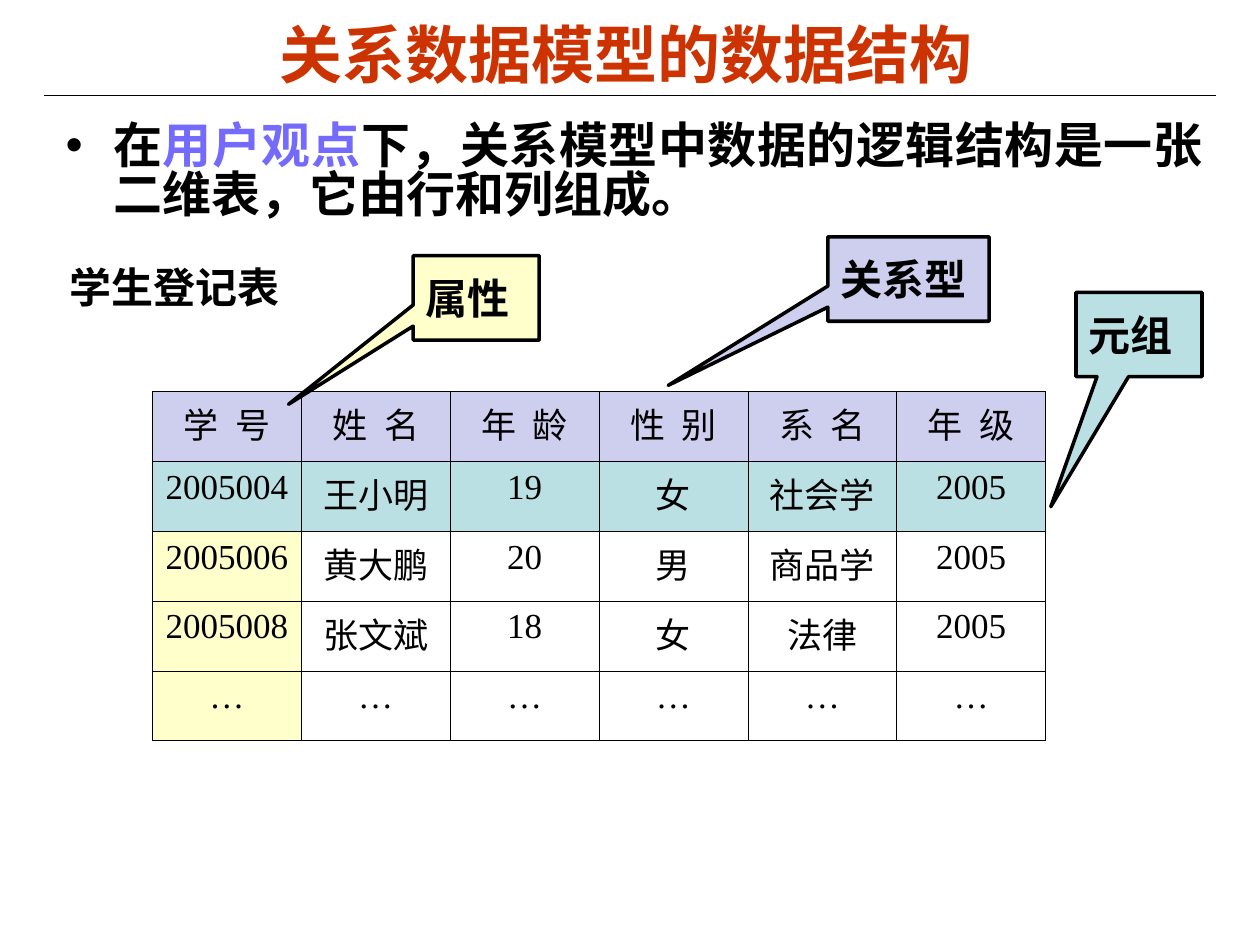
from pptx import Presentation
from pptx.dml.color import RGBColor
from pptx.enum.shapes import MSO_CONNECTOR, MSO_SHAPE
from pptx.enum.text import MSO_ANCHOR as Anchor, MSO_AUTO_SIZE as AutoSize, PP_ALIGN as Align
from pptx.oxml import parse_xml
from pptx.oxml.ns import nsdecls, qn
from pptx.util import Inches, Pt
from lxml.etree import SubElement

CJK, SERIF = "Noto Sans CJK SC", "Times New Roman"
BLACK, RED, VIOLET = "000000", "CC3300", "746AFC"
LILAC, TEAL, CREAM = "CECEEF", "BBE0E3", "FFFFCC"

HEADER = ["学 号", "姓 名", "年 龄", "性 别", "系 名", "年 级"]
RECORDS = [
    ["2005004", "王小明", "19", "女", "社会学", "2005"],
    ["2005006", "黄大鹏", "20", "男", "商品学", "2005"],
    ["2005008", "张文斌", "18", "女", "法律", "2005"],
    ["…"] * len(HEADER),
]


def rgb(value):
    """Turn a hex string into a colour."""
    return RGBColor.from_string(value)


class Deck:
    """Style and current slide, measured on a grid of 100 columns by 75 rows."""

    def __init__(self):
        """Open a 10 by 7.5 inch deck with one title and content slide."""
        self.prs = Presentation()
        self.prs.slide_width, self.prs.slide_height = Inches(10), Inches(7.5)
        self.s = self.prs.slides.add_slide(self.prs.slide_layouts[1])

    def grid(self, *cells):
        """Convert grid cells to lengths."""
        return [round(self.prs.slide_width * c / 100) for c in cells]

    def move(self, sp, box):
        """Place a shape on the grid."""
        sp.left, sp.top, sp.width, sp.height = self.grid(*box)

    def run(self, p, text, size, color=BLACK, font=CJK, bold=True):
        """Append one formatted run."""
        r = p.add_run()
        r.text = text
        r.font.size, r.font.name, r.font.bold = Pt(size), font, bold
        r.font.color.rgb = rgb(color)
        SubElement(r.font._element, qn("a:ea"), typeface=CJK)
        return r

    def title(self, text, box):
        """Fill the title placeholder."""
        sp = self.s.shapes.title
        self.move(sp, box)
        tf = sp.text_frame
        tf.auto_size, tf.vertical_anchor = AutoSize.NONE, Anchor.MIDDLE
        tf.margin_right = Inches(0.21)
        p = tf.paragraphs[0]
        p.alignment = Align.CENTER
        self.run(p, text, 36, RED)

    def body(self, runs, box):
        """Fill the body placeholder with one bulleted paragraph."""
        sp = self.s.placeholders[1]
        self.move(sp, box)
        tf = sp.text_frame
        tf.auto_size, tf.vertical_anchor = AutoSize.NONE, Anchor.TOP
        tf.margin_top = Inches(0.09)
        p = tf.paragraphs[0]
        p.alignment, p.space_before, p.line_spacing = Align.JUSTIFY, Pt(0), 0.83
        pPr = p._p.get_or_add_pPr()
        pPr.set("marL", str(Inches(0.38)))
        pPr.set("indent", str(Inches(-0.38)))
        SubElement(pPr, qn("a:buChar"), char="•")
        for text, color in runs:
            self.run(p, text, 28, color)

    def rule(self, left, right, row):
        """Draw a thin horizontal line."""
        x1, x2, y = self.grid(left, right, row)
        ln = self.s.shapes.add_connector(MSO_CONNECTOR.STRAIGHT, x1, y, x2, y)
        ln.line.color.rgb, ln.line.width = rgb(BLACK), Pt(0.75)
        SubElement(ln._element.spPr, qn("a:effectLst"))

    def label(self, text, box):
        """Add a bold text box."""
        tf = self.s.shapes.add_textbox(*self.grid(*box)).text_frame
        tf.word_wrap = True
        self.run(tf.paragraphs[0], text, 24)

    def callout(self, text, box, tip, fill):
        """Add a rectangular callout whose tip is given as shares of its size."""
        sp = self.s.shapes.add_shape(MSO_SHAPE.RECTANGULAR_CALLOUT, *self.grid(*box))
        sp.shadow.inherit = False
        sp.adjustments[0], sp.adjustments[1] = tip
        sp.fill.solid()
        sp.fill.fore_color.rgb = rgb(fill)
        sp.line.color.rgb, sp.line.width = rgb(BLACK), Pt(2)
        tf = sp.text_frame
        tf.word_wrap, tf.vertical_anchor = True, Anchor.MIDDLE
        p = tf.paragraphs[0]
        p.alignment = Align.LEFT
        self.run(p, text, 24)

    def cell(self, cell, text, fill):
        """Write, border and fill one table cell, returning its run."""
        p = cell.text_frame.paragraphs[0]
        p.alignment = Align.CENTER
        r = self.run(p, text, 20, font=SERIF, bold=False)
        tcPr = cell._tc.get_or_add_tcPr()
        for side in "LRTB":
            tcPr.append(parse_xml(
                f'<a:ln{side} {nsdecls("a")} w="{Pt(0.45)}"><a:solidFill>'
                f'<a:srgbClr val="{BLACK}"/></a:solidFill></a:ln{side}>'))
        if fill:
            cell.fill.solid()
            cell.fill.fore_color.rgb = rgb(fill)
        else:
            cell.fill.background()
        return r

    def table(self, header, records, box):
        """Add the relation with tinted header, first record and key column."""
        rows = [header, *records]
        tbl = self.s.shapes.add_table(len(rows), len(header), *self.grid(*box)).table
        tbl.first_row = tbl.horz_banding = False
        for i, row in enumerate(rows):
            for j, text in enumerate(row):
                fill = {0: LILAC, 1: TEAL}.get(i, None if j else CREAM)
                r = self.cell(tbl.cell(i, j), text, fill)
                if i == 0:
                    r.font._element.set("spc", "250")


def main():
    """Build the slide and save it."""
    deck = Deck()
    deck.rule(3.5, 96.5, 7.6)
    deck.title("关系数据模型的数据结构", (4.2, 1.1, 92, 6.2))
    deck.body([("在", BLACK), ("用户观点", VIOLET),
               ("下，关系模型中数据的逻辑结构是一张二维表，它由行和列组成。", BLACK)],
              (4.2, 9, 92.3, 11))
    deck.table(HEADER, RECORDS, (12.1, 31.1, 70.9, 27.7))
    deck.label("学生登记表", (4.5, 20.3, 26.1, 5))
    deck.callout("属性", (32.8, 20.3, 10, 6.7), (-1.49, 1.26), CREAM)
    deck.callout("元组", (85.4, 23.2, 10, 6.7), (-0.7, 2.04), TEAL)
    deck.callout("关系型", (65.7, 18.8, 12.8, 6.7), (-1.49, 1.26), LILAC)
    deck.prs.save("out.pptx")


if __name__ == "__main__":
    main()
